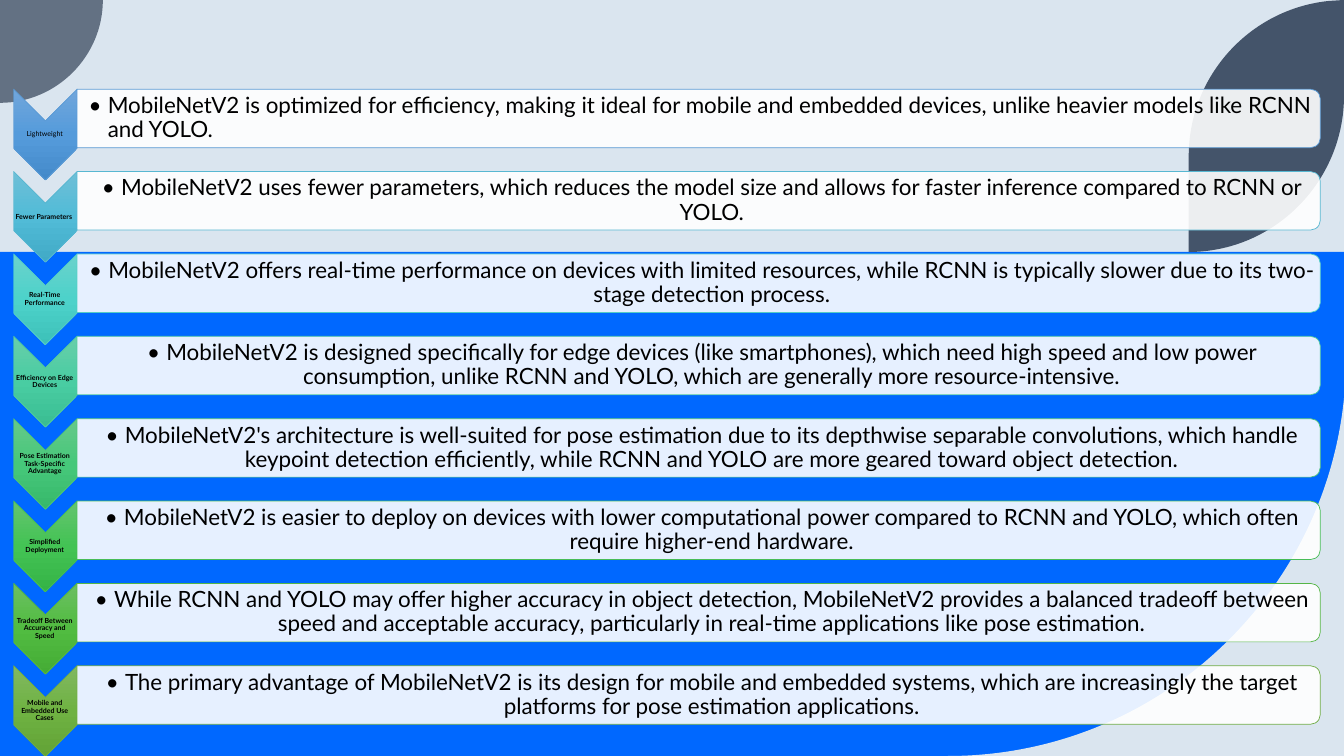
from lxml import etree
from pptx import Presentation
from pptx.dml.color import RGBColor
from pptx.enum.shapes import MSO_SHAPE
from pptx.enum.text import MSO_ANCHOR, PP_ALIGN
from pptx.oxml import parse_xml
from pptx.oxml.ns import nsdecls, qn
from pptx.util import Inches, Pt

BACK = RGBColor(0xDA, 0xE5, 0xEF)
BLUE = RGBColor(0x00, 0x68, 0xFF)
GREY = RGBColor(0x63, 0x71, 0x83)
NAVY = RGBColor(0x44, 0x54, 0x6A)
WHITE = RGBColor(0xFF, 0xFF, 0xFF)
BLACK = RGBColor(0x00, 0x00, 0x00)

# Label, detail, chevron gradient (top, middle, bottom), outline
ROWS = [
    ("Lightweight",
     "MobileNetV2 is optimized for efficiency, making it ideal for mobile and embedded devices, unlike heavier models like RCNN and YOLO.",
     ("71A6DB", "559BDB", "448ACA"), RGBColor(0x5B, 0x9B, 0xD5)),
    ("Fewer Parameters ",
     "MobileNetV2 uses fewer parameters, which reduces the model size and allows for faster inference compared to RCNN or YOLO.",
     ("6EBFD7", "51BBD7", "41AAC6"), RGBColor(0x57, 0xB7, 0xD1)),
    ("Real-Time Performance",
     "MobileNetV2 offers real-time performance on devices with limited resources, while RCNN is typically slower due to its two-stage detection process.",
     ("6BD2CC", "4DD2CA", "3DC1B9"), RGBColor(0x53, 0xCC, 0xC5)),
    ("Efficiency on Edge Devices",
     "MobileNetV2 is designed specifically for edge devices (like smartphones), which need high speed and low power consumption, unlike RCNN and YOLO, which are generally more resource-intensive.",
     ("68CEAA", "49CDA2", "3ABD92"), RGBColor(0x4F, 0xC7, 0xA0)),
    ("Pose Estimation Task-Specific Advantage",
     "MobileNetV2's architecture is well-suited for pose estimation due to its depthwise separable convolutions, which handle keypoint detection efficiently, while RCNN and YOLO are more geared toward object detection.",
     ("66C98A", "46C87A", "37B86B"), RGBColor(0x4C, 0xC2, 0x7B)),
    ("Simplified Deployment",
     "MobileNetV2 is easier to deploy on devices with lower computational power compared to RCNN and YOLO, which often require higher-end hardware.",
     ("64C46F", "43C354", "35B346"), RGBColor(0x48, 0xBD, 0x58)),
    ("Tradeoff Between Accuracy and Speed",
     "While RCNN and YOLO may offer higher accuracy in object detection, MobileNetV2 provides a balanced tradeoff between speed and acceptable accuracy, particularly in real-time applications like pose estimation.",
     ("6CBF62", "51BC41", "45AC35"), RGBColor(0x55, 0xB6, 0x46)),
    ("Mobile and Embedded Use Cases",
     "The primary advantage of MobileNetV2 is its design for mobile and embedded systems, which are increasingly the target platforms for pose estimation applications.",
     ("81B861", "6FB242", "62A336"), RGBColor(0x70, 0xAD, 0x47)),
]

# Background outlines: color, points, and where each run of three Bezier points starts
CURVES = [
    (BACK, [(13.35, 3.55), (13.35, 5.73), (11.58, 7.5), (9.4, 7.5), (13.35, 7.5)], [1]),
    (GREY, [(0, 0), (1.02, 0), (1.02, 0.56), (0.56, 1.02), (0, 1.02)], [2]),
    (NAVY, [(13.33, 0), (13.33, 0.95), (13.33, 1.8), (12.64, 2.5), (11.79, 2.5),
            (11.79, 1.55), (11.79, 0.75), (12.4, 0.09), (13.18, 0.01)], [2, 6]),
]

prs = Presentation()
prs.slide_width, prs.slide_height = Inches(13.33), Inches(7.5)
slide = prs.slides.add_slide(prs.slide_layouts[6])
shapes = slide.shapes
slide.background.fill.solid()
slide.background.fill.fore_color.rgb = BACK


def paint(shape, color):
    shape.shadow.inherit = False
    shape.fill.solid()
    shape.fill.fore_color.rgb = color
    shape.line.fill.background()


def write(x, y, w, h, text, size, after):
    box = shapes.add_textbox(Inches(x), Inches(y), Inches(w), Inches(h))
    frame = box.text_frame
    frame.text = text
    frame.word_wrap = True
    frame.vertical_anchor = MSO_ANCHOR.MIDDLE
    frame.margin_left = frame.margin_right = Inches(0.01)
    frame.margin_top = frame.margin_bottom = Inches(0.01)
    para = frame.paragraphs[0]
    para.alignment = PP_ALIGN.CENTER
    para.line_spacing = 0.9
    para.space_after = Pt(after)
    font = para.runs[0].font
    font.name, font.size, font.color.rgb = "Lato", Pt(size), BLACK
    return frame


# Background shapes
paint(shapes.add_shape(MSO_SHAPE.RECTANGLE, 0, Inches(2.5), Inches(13.35), Inches(5)), BLUE)
for color, dots, bends in CURVES:
    dots = [(Inches(x), Inches(y)) for x, y in dots]
    form = shapes.build_freeform(*dots[0])
    form.add_line_segments(dots[1:], close=True)
    shape = form.convert_to_shape()
    paint(shape, color)

    # Join three straight steps into one curve
    trace = next(shape.element.iter(qn("a:moveTo"))).getparent()
    steps = list(trace)
    for at in bends:
        bend = etree.Element(qn("a:cubicBezTo"))
        steps[at].addprevious(bend)
        for step in steps[at:at + 3]:
            bend.append(step[0])
            trace.remove(step)

# Rows: chevron with label, bar with detail
STEP = (6.74 - 1.02) / (len(ROWS) - 1)
for n, (label, detail, shades, edge) in enumerate(ROWS):
    top = n * STEP
    arrow = shapes.add_shape(MSO_SHAPE.CHEVRON, 0, Inches(1.02 + top), Inches(0.9), Inches(0.63))
    bar = shapes.add_shape(MSO_SHAPE.ROUND_2_SAME_RECTANGLE, Inches(6.64),
                           Inches(top - 4.99), Inches(0.58), Inches(12.33))
    for shape in (arrow, bar):
        paint(shape, WHITE)
        shape.rotation = 90
        shape.line.color.rgb = edge
        shape.line.width = Pt(0.5)

    # Three-stop gradient that stays upright on the turned chevron
    stops = "".join(f'<a:gs pos="{pos}"><a:srgbClr val="{shade}"/></a:gs>'
                    for pos, shade in zip((0, 50000, 100000), shades))
    grad = parse_xml(f'<a:gradFill {nsdecls("a")} rotWithShape="0"><a:gsLst>{stops}</a:gsLst>'
                     '<a:lin ang="5400000" scaled="0"/></a:gradFill>')
    props = arrow.element.spPr
    props.replace(props.find(qn("a:solidFill")), grad)

    # Bar lets a tenth of the background through
    tint = bar.element.spPr.find(qn("a:solidFill"))[0]
    etree.SubElement(tint, qn("a:alpha")).set("val", "90000")

    name = write(0.13, 1.2 + top, 0.63, 0.27, label, 5, 1.75)
    name.paragraphs[0].runs[0].font.bold = n > 0

    body = write(0.76, 0.91 + top, 12.3, 0.53, detail, 16, 2.4)
    body.margin_left = Inches(0.12)
    para = body.paragraphs[0]
    para.level = 1
    if n == 0:
        para.alignment = PP_ALIGN.LEFT
    form = para._p.get_or_add_pPr()
    form.set("marL", str(Inches(0.19)))
    form.set("indent", str(-Inches(0.19)))
    etree.SubElement(form, qn("a:buFont")).set("typeface", "Lato")
    etree.SubElement(form, qn("a:buChar")).set("char", "•")

prs.save("out.pptx")
